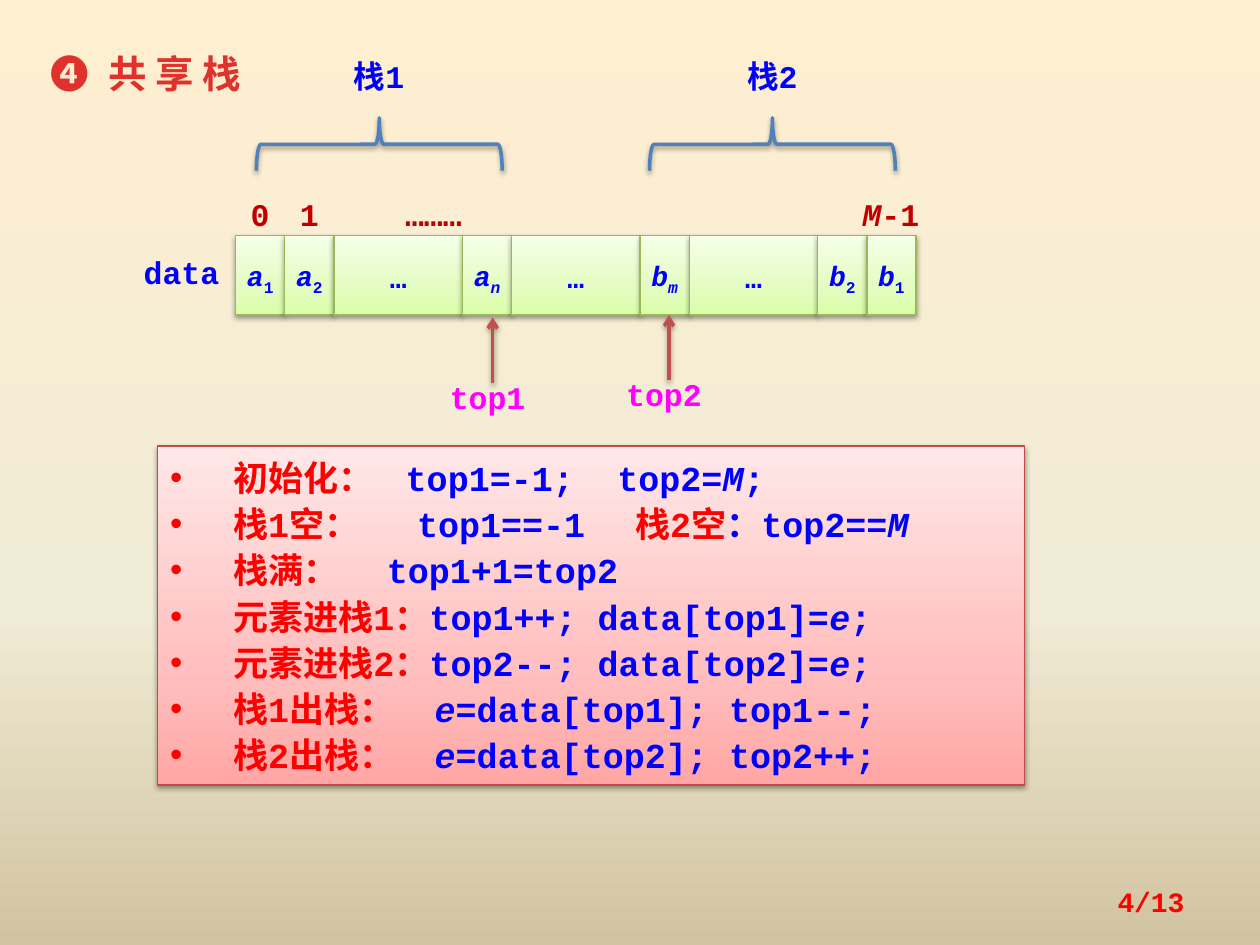
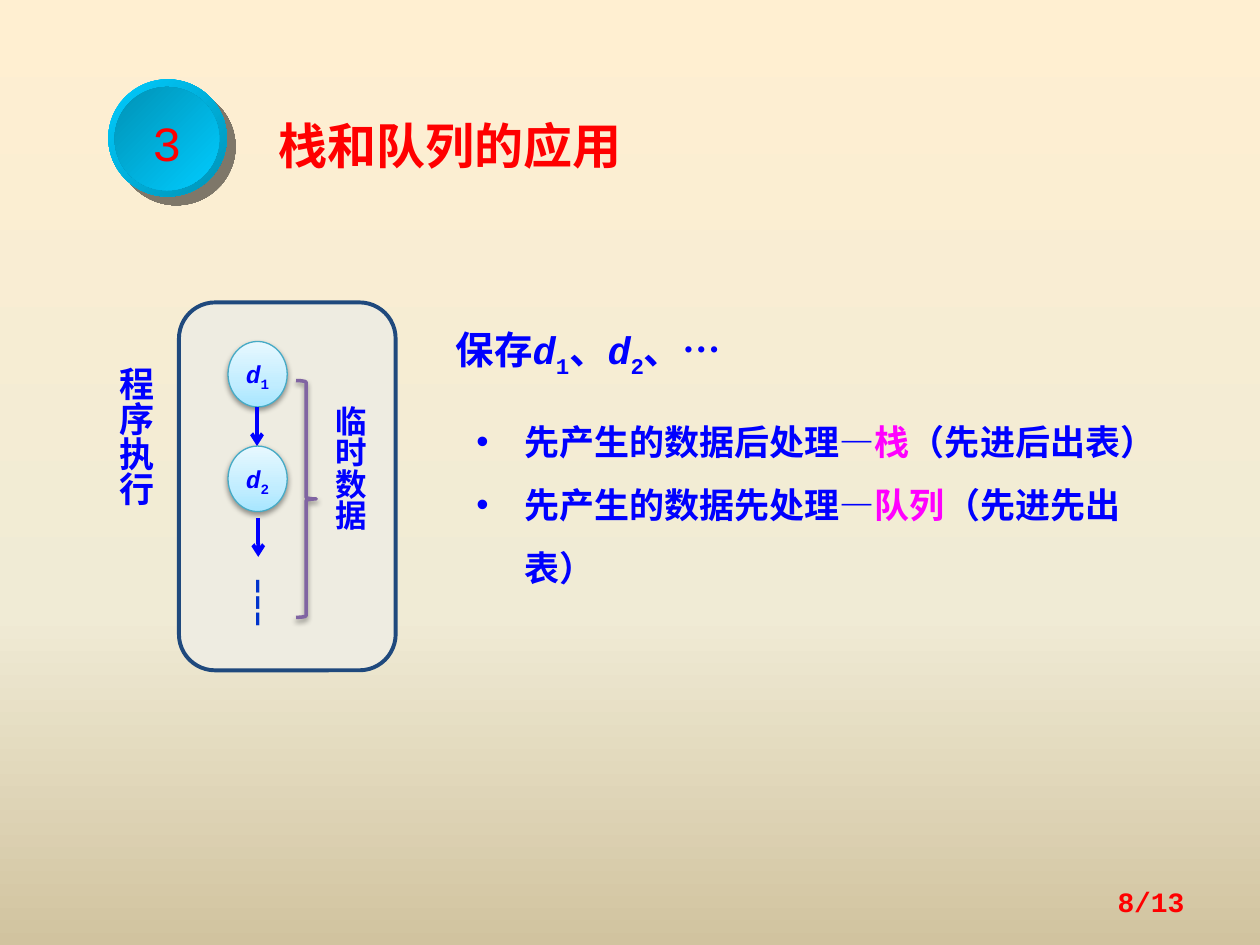
from copy import deepcopy
from lxml.etree import SubElement
from pptx import Presentation
from pptx.dml.color import RGBColor
from pptx.enum.shapes import MSO_CONNECTOR, MSO_SHAPE
from pptx.enum.text import MSO_ANCHOR, MSO_AUTO_SIZE, PP_ALIGN
from pptx.oxml.ns import qn
from pptx.util import Inches, Pt

# Shared colours and formats
BLUE = RGBColor(0x00, 0x00, 0xFF)
RED = RGBColor(0xFF, 0x00, 0x00)
MAGENTA = RGBColor(0xFF, 0x00, 0xFF)
INDEX_RED = RGBColor(0xC0, 0x00, 0x00)
TITLE_RED = RGBColor(0xE0, 0x32, 0x2D)
DASH_BLUE = RGBColor(0x00, 0x33, 0xCC)
BRACE_BLUE = RGBColor(0x4F, 0x81, 0xBD)
BRACE_PURPLE = RGBColor(0x80, 0x64, 0xA2)
ARROW_RED = RGBColor(0xC0, 0x50, 0x4D)
CELL_LINE = RGBColor(0x98, 0xB9, 0x55)
RULES_LINE = RGBColor(0xBF, 0x4C, 0x48)
NODE_LINE = RGBColor(0x46, 0xAA, 0xC5)
PANEL_FILL = RGBColor(0xEE, 0xEC, 0xE1)
PANEL_LINE = RGBColor(0x1F, 0x49, 0x7D)

PAGE_STOPS = [(0, "FFEFD1"), (65, "F0EBD5"), (100, "D1C39F")]
CELL_STOPS = [(0, "DAFDA7"), (35, "E4FCC2"), (100, "F5FFE7")]
RULES_STOPS = [(0, "FFA6A5"), (35, "FFC0BF"), (100, "FFE7E7")]
NODE_STOPS = [(0, "A7E6FF"), (35, "C1EDFF"), (100, "E7F8FF")]

ITALIC = {"italic": True}
SUB = {"baseline": -25000}
ITALIC_SUB = ITALIC | SUB
SOFT = {"color": "000000", "alpha": 38, "blur": 3.1, "dist": 1.6, "angle": 90}
HARD = {"color": "020202", "alpha": 50, "blur": 0, "dist": 7.1, "angle": 45}


def set_gradient(fill, element, stops, angle):
    fill.gradient()
    fill.gradient_angle = angle
    stop_list = element.find(".//" + qn("a:gsLst"))
    for _ in stops[2:]:
        stop_list.append(deepcopy(stop_list[0]))
    for stop, (position, color) in zip(fill.gradient_stops, stops):
        stop.position = position / 100
        stop.color.rgb = RGBColor.from_string(color)


def write(shape, paragraphs, size, color, align=PP_ALIGN.CENTER, spacing=1.1,
          inset=(0, 0), anchor=MSO_ANCHOR.TOP, indent=0, tabs=(), bold=True):
    frame = shape.text_frame
    settings = {"word_wrap": True, "auto_size": MSO_AUTO_SIZE.NONE,
                "vertical_anchor": anchor,
                "margin_left": Inches(inset[0]), "margin_right": Inches(inset[0]),
                "margin_top": Inches(inset[1]), "margin_bottom": Inches(inset[1])}
    for name, value in settings.items():
        setattr(frame, name, value)
    for number, runs in enumerate(paragraphs):
        para = frame.add_paragraph() if number else frame.paragraphs[0]
        para.alignment, para.line_spacing, para.space_before = align, spacing, Pt(0)
        properties = para._p.get_or_add_pPr()
        if indent:
            properties.set("marL", str(Inches(indent)))
            properties.set("indent", str(-Inches(indent)))
            SubElement(properties, qn("a:buChar"), char="•")
        if tabs and tabs[number]:
            tab_list = SubElement(properties, qn("a:tabLst"))
            # The stop one indent earlier serves viewers that measure from the indent
            positions = {stop - shift for stop in tabs[number] for shift in (0, indent)}
            for position in sorted(positions):
                SubElement(tab_list, qn("a:tab"), pos=str(Inches(position)), algn="l")
        for text, changes in runs:
            span = para.add_run()
            span.text = text
            look = {"name": "Courier New", "size": Pt(size), "bold": bold,
                    "color": color} | changes
            span.font.color.rgb = look.pop("color")
            baseline = look.pop("baseline", 0)
            if baseline:
                span._r.get_or_add_rPr().set("baseline", str(baseline))
            for name, value in look.items():
                setattr(span.font, name, value)


# Deck, shared background, placeholders and page numbers
deck = Presentation()
deck.slide_width, deck.slide_height = Inches(10), Inches(7.5)
master = deck.slide_master
set_gradient(master.background.fill, master.element, PAGE_STOPS, 270)

pages = []
for page_number in ("4/13", "8/13"):
    page = deck.slides.add_slide(deck.slide_layouts[1])
    box = page.shapes.add_textbox(Inches(7.17), Inches(6.95), Inches(2.33), Inches(0.4))
    write(box, [[(page_number, {})]], 16, RED, PP_ALIGN.RIGHT, 1, (0.1, 0.05),
          MSO_ANCHOR.MIDDLE)
    pages.append(page)
sharing, uses = pages
effects = []

# Titles and lists: place the placeholders
places = [(sharing.shapes.title, 0.3, 0.31, 2.3, 0.6),
          (sharing.placeholders[1], 1.25, 3.54, 6.88, 2.69),
          (uses.shapes.title, 2.11, 0.82, 3.4, 0.62),
          (uses.placeholders[1], 3.68, 3.12, 5.62, 1.6)]
for holder, *place in places:
    holder.left, holder.top, holder.width, holder.height = map(Inches, place)

# Shared stack: title and rules
write(sharing.shapes.title, [[("❹\t共 享 栈", {})]], 22, TITLE_RED, PP_ALIGN.LEFT,
      inset=(0.1, 0.05), tabs=[[0.46]])
code, code_italic = {"color": BLUE}, {"color": BLUE} | ITALIC
rules = [
    [("初始化：\t", {}), ("top1=-1;\ttop2=", code), ("M", code_italic), (";", code)],
    [("栈1空：\t", {}), ("top1==-1\t", code), ("栈2空", {}), ("：top2==", code),
     ("M", code_italic)],
    [("栈满：\t", {}), ("top1+1=top2", code)],
    [("元素进栈1：", {}), ("top1++; data[top1]=", code), ("e", code_italic), (";", code)],
    [("元素进栈2：", {}), ("top2--; data[top2]=", code), ("e", code_italic), (";", code)],
    [("栈1出栈：\t", {}), ("e", code_italic), ("=data[top1]; top1--;", code)],
    [("栈2出栈：\t", {}), ("e", code_italic), ("=data[top2]; top2++;", code)],
]
rule_tabs = [[1.87, 3.55], [1.96, 3.69], [1.72], [], [], [2.1], [2.1]]
rules_box = sharing.placeholders[1]
set_gradient(rules_box.fill, rules_box.element, RULES_STOPS, 90)
rules_box.line.color.rgb, rules_box.line.width = RULES_LINE, Pt(0.75)
write(rules_box, rules, 20, RED, PP_ALIGN.LEFT, inset=(0.1, 0.05), indent=0.5,
      tabs=rule_tabs)
effects.append((rules_box, SOFT))

# Shared stack: array cells
left = 1.87
for letter, index in ("a1", "a2", "… ", "an", "… ", "bm", "… ", "b2", "b1"):
    gap = letter == "…"
    width = 1.02 if gap else 0.39
    cell = sharing.shapes.add_shape(MSO_SHAPE.RECTANGLE, Inches(left), Inches(1.87),
                                    Inches(width), Inches(0.63))
    set_gradient(cell.fill, cell.element, CELL_STOPS, 90)
    cell.line.color.rgb, cell.line.width = CELL_LINE, Pt(0.75)
    subscript = SUB if index.isdigit() else ITALIC_SUB
    runs = [(letter, {})] if gap else [(letter, ITALIC), (index, subscript)]
    write(cell, [runs], 16, BLUE, inset=(0, 0.05), anchor=MSO_ANCHOR.MIDDLE)
    effects.append((cell, SOFT))
    left += width

# Shared stack: labels
labels = [(1.95, 1.52, 0.23, [("0", {})], INDEX_RED),
          (2.34, 1.52, 0.23, [("1", {})], INDEX_RED),
          (6.72, 1.52, 0.7, [("M", ITALIC), ("-1", {})], INDEX_RED),
          (2.97, 1.52, 0.94, [("………", {})], INDEX_RED),
          (1.09, 1.98, 0.7, [("data", {})], BLUE),
          (2.66, 0.42, 0.7, [("栈1", {})], BLUE),
          (5.78, 0.42, 0.7, [("栈2", {})], BLUE),
          (3.52, 2.97, 0.7, [("top1", {})], MAGENTA),
          (4.92, 2.95, 0.7, [("top2", {})], MAGENTA)]
for left, top, width, runs, color in labels:
    box = sharing.shapes.add_textbox(Inches(left), Inches(top), Inches(width), Inches(0.33))
    write(box, [runs], 18, color)

# Stack uses: panel and numbered badge
panel = uses.shapes.add_shape(MSO_SHAPE.ROUNDED_RECTANGLE, Inches(1.42), Inches(2.4),
                              Inches(1.72), Inches(2.92))
panel.fill.solid()
panel.fill.fore_color.rgb = PANEL_FILL
panel.line.color.rgb, panel.line.width = PANEL_LINE, Pt(2.25)
effects.append((panel, None))

discs = [(0.86, 0.63, 0.94, 0.93, "00CCFF", "0092B6", HARD),
         (0.91, 0.69, 0.83, 0.82, "0092B6", "00CCFF", None)]
for *place, start, end, shadow in discs:
    disc = uses.shapes.add_shape(MSO_SHAPE.OVAL, *map(Inches, place))
    set_gradient(disc.fill, disc.element, [(0, start), (100, end)], 315)
    disc.line.fill.background()
    effects.append((disc, shadow))
write(disc, [[("3", {})]], 28, RED, anchor=MSO_ANCHOR.MIDDLE, bold=False)

# Stack uses: title and list
write(uses.shapes.title, [[("栈和队列的应用", {})]], 28, RED, PP_ALIGN.LEFT,
      inset=(0.1, 0.05))
orders = [("先产生的数据后处理―", "栈", "（先进后出表）"),
          ("先产生的数据先处理―", "队列", "（先进先出表）")]
write(uses.placeholders[1],
      [[(start, {}), (key, {"color": MAGENTA}), (end, {})] for start, key, end in orders],
      20, BLUE, PP_ALIGN.LEFT, 1.5, (0.1, 0.05), indent=0.38)
saved = uses.shapes.add_textbox(Inches(3.52), Inches(2.5), Inches(3.2), Inches(0.51))
write(saved, [[("保存", {}), ("d", ITALIC), ("1", SUB), ("、", {}), ("d", ITALIC),
               ("2", SUB), ("、…", {})]], 22, BLUE, PP_ALIGN.LEFT, inset=(0.1, 0.05))

# Stack uses: data nodes, continuation mark and vertical labels
for index, top in (("1", 2.71), ("2", 3.54)):
    node = uses.shapes.add_shape(MSO_SHAPE.OVAL, Inches(1.81), Inches(top),
                                 Inches(0.47), Inches(0.52))
    set_gradient(node.fill, node.element, NODE_STOPS, 90)
    node.line.color.rgb, node.line.width = NODE_LINE, Pt(0.75)
    write(node, [[("d", ITALIC), (index, SUB)]], 14, BLUE, anchor=MSO_ANCHOR.MIDDLE)
    effects.append((node, SOFT))

more = uses.shapes.add_textbox(Inches(1.85), Inches(4.48), Inches(0.39), Inches(0.55))
write(more, [[("┆", {})]], 24, DASH_BLUE, inset=(0, 0.05))

vertical_labels = [("程序执行", 20, 0.76, 2.81, 0.57, 1.88),
                   ("临时数据", 18, 2.47, 3.12, 0.54, 1.56)]
for text, size, *place in vertical_labels:
    box = uses.shapes.add_textbox(*map(Inches, place))
    write(box, [[(text, {})]], size, BLUE, inset=(0.1, 0.05))
    box.element.find(".//" + qn("a:bodyPr")).set("vert", "eaVert")

# Braces on both slides
braces = [(sharing, MSO_SHAPE.LEFT_BRACE, 90, BRACE_BLUE, 2.8, 0.17, 0.42, 1.95),
          (sharing, MSO_SHAPE.LEFT_BRACE, 90, BRACE_BLUE, 5.92, 0.17, 0.42, 1.95),
          (uses, MSO_SHAPE.RIGHT_BRACE, 0, BRACE_PURPLE, 2.35, 3.02, 0.16, 1.88)]
for page, kind, rotation, color, *place in braces:
    brace = page.shapes.add_shape(kind, *map(Inches, place))
    brace.rotation = rotation
    brace.fill.background()
    brace.line.color.rgb, brace.line.width = color, Pt(2)
    effects.append((brace, SOFT))

# Arrows on both slides
arrows = [(sharing, 3.91, 3.04, 2.52, ARROW_RED, 2, SOFT),
          (sharing, 5.31, 3.02, 2.5, ARROW_RED, 2, SOFT),
          (uses, 2.04, 3.23, 3.54, BLUE, 2.25, None),
          (uses, 2.05, 4.11, 4.42, BLUE, 2.25, None)]
for page, x, start, end, color, width, shadow in arrows:
    arrow = page.shapes.add_connector(MSO_CONNECTOR.STRAIGHT, Inches(x), Inches(start),
                                      Inches(x), Inches(end))
    arrow.line.color.rgb, arrow.line.width = color, Pt(width)
    SubElement(arrow.line._get_or_add_ln(), qn("a:tailEnd"), type="arrow")
    effects.append((arrow, shadow))

# Shadows, or none, for every drawn shape
for shape, shadow in effects:
    effect_list = SubElement(shape.element.spPr, qn("a:effectLst"))
    if shadow:
        outer = SubElement(effect_list, qn("a:outerShdw"), blurRad=str(Pt(shadow["blur"])),
                           dist=str(Pt(shadow["dist"])), dir=str(shadow["angle"] * 60000),
                           rotWithShape="0")
        tint = SubElement(outer, qn("a:srgbClr"), val=shadow["color"])
        SubElement(tint, qn("a:alpha"), val=str(shadow["alpha"] * 1000))

deck.save("out.pptx")
